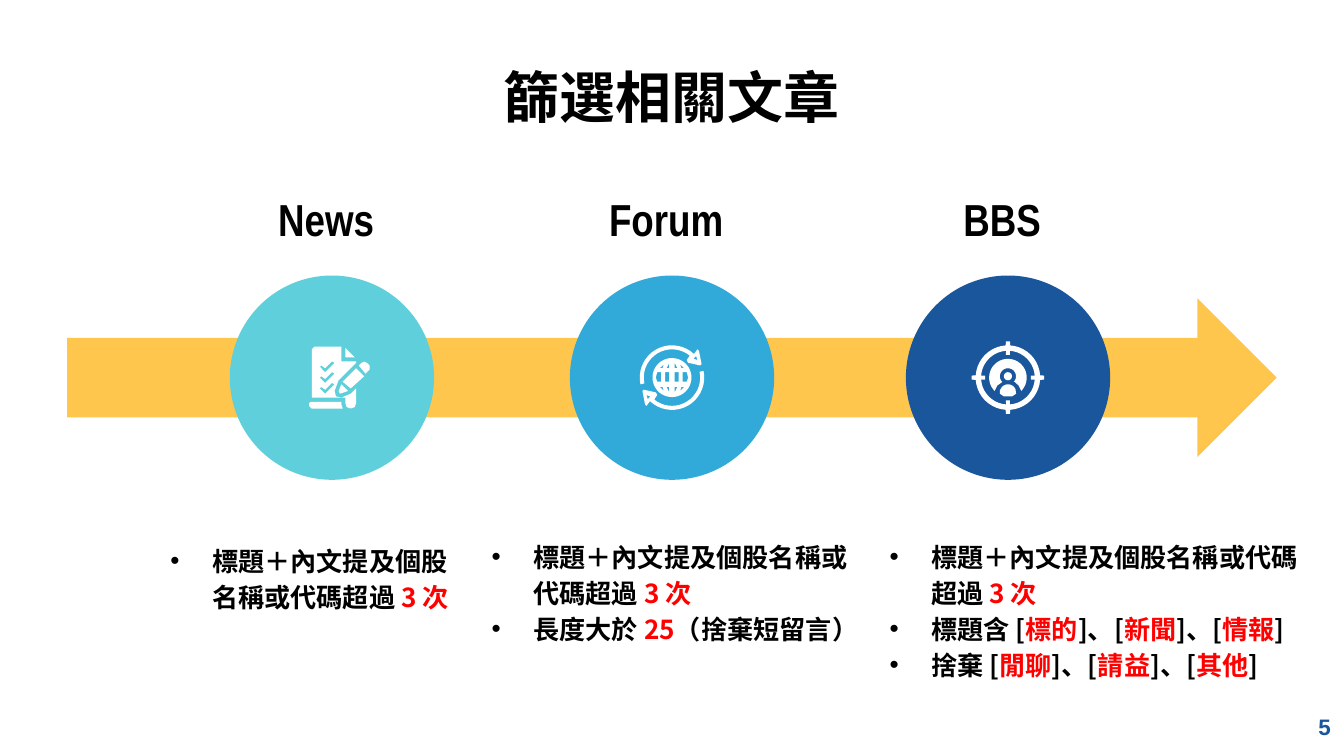
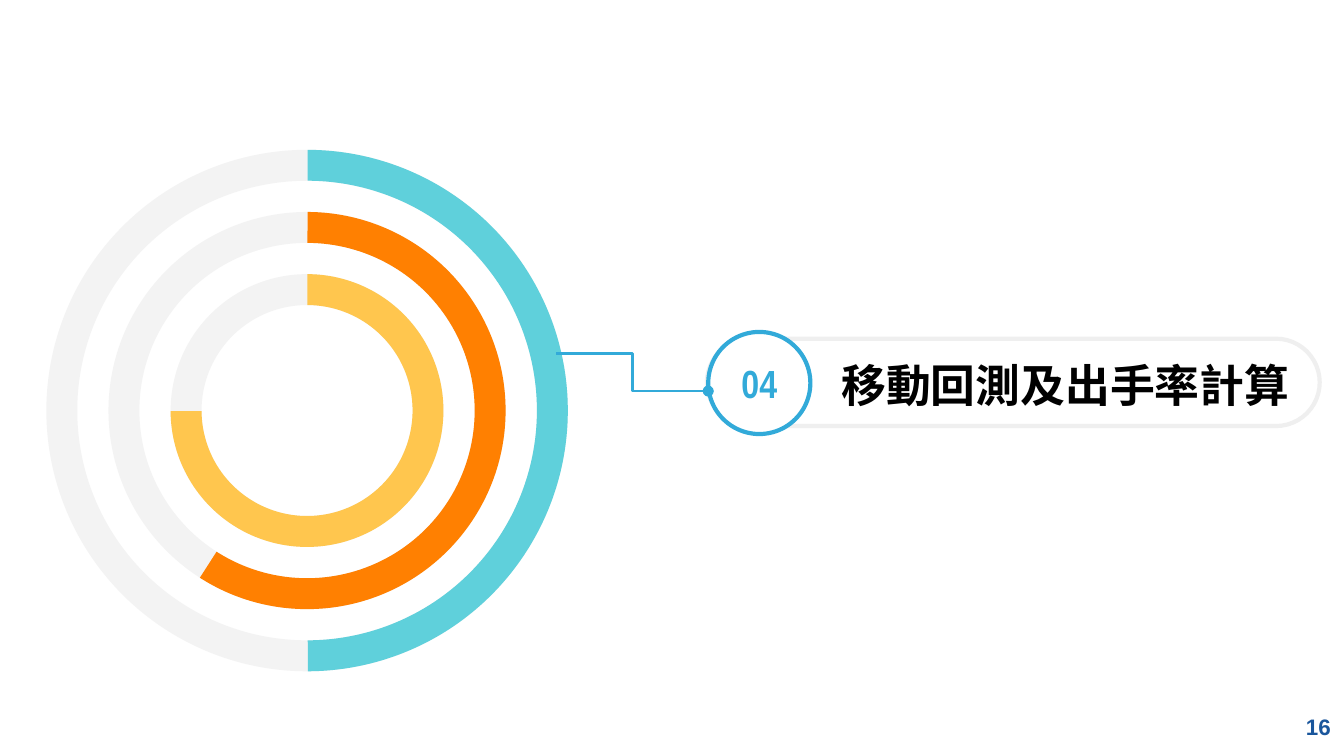
import math
from dataclasses import dataclass

import lxml.etree
import pptx
import pptx.dml.color
import pptx.enum.shapes
import pptx.enum.text
import pptx.oxml.ns
import pptx.util

PAGE_WIDTH = pptx.util.Inches(10)
PAGE_HEIGHT = pptx.util.Inches(5.625)
COLUMN = PAGE_WIDTH / 100
ICON_STEP = 0.1

BLACK, WHITE, RED = "000000", "FFFFFF", "FF0000"
TEAL, SKY, NAVY = "5FD0DB", "32AAD9", "1A569C"
AMBER, ORANGE = "FFC64E", "FF8001"
TRACK, PILL_EDGE = "F3F3F3", "EFEFEF"
NARROW, CJK, SANS = "Arial Narrow", "Noto Sans CJK TC", "Arial"

SHAPE = pptx.enum.shapes.MSO_SHAPE
ALIGN = pptx.enum.text.PP_ALIGN
ANCHOR = pptx.enum.text.MSO_ANCHOR

Point = tuple[float, float]
Contour = list[Point]
Piece = list[Contour]


@dataclass
class Box:
    left: float
    top: float
    width: float
    height: float

    def lengths(self) -> list[int]:
        return [size(v) for v in (self.left, self.top, self.width, self.height)]


@dataclass
class Stage:
    label: str
    center: float
    color: str
    rules_box: Box
    rules: list[str]
    icon: list[Piece]


@dataclass
class Ring:
    color: str
    end_degrees: float


def size(columns: float) -> int:
    return round(columns * COLUMN)


def paint(color: str) -> pptx.dml.color.RGBColor:
    return pptx.dml.color.RGBColor.from_string(color)


def child(parent, tag: str, **attributes: str):
    return lxml.etree.SubElement(parent, pptx.oxml.ns.qn(tag), attributes)


def add_bullet(para, indent: float) -> None:
    properties = para._p.get_or_add_pPr()
    properties.set("marL", str(size(indent)))
    properties.set("indent", str(-size(indent)))
    child(child(properties, "a:buClr"), "a:srgbClr", val=BLACK)
    child(properties, "a:buFont", typeface=SANS)
    child(properties, "a:buChar", char="•")


def write(shape, text: str, *, points: float, font: str = NARROW, color: str = BLACK,
          accent: str = RED, align=None, anchor=ANCHOR.MIDDLE,
          insets: tuple[float, ...] = (1, 1, 1, 1), bullets: bool = False) -> None:
    frame = shape.text_frame
    frame.word_wrap = True
    frame.vertical_anchor = anchor
    (frame.margin_left, frame.margin_top,
     frame.margin_right, frame.margin_bottom) = [size(inset) for inset in insets]
    for number, line in enumerate(text.split("\n")):
        para = frame.add_paragraph() if number else frame.paragraphs[0]
        para.alignment = align or ALIGN.LEFT
        if bullets:
            para.line_spacing = 1.15
            add_bullet(para, 3.1)
        for index, words in enumerate(line.split("|")):
            span = para.add_run()
            span.text = words
            span.font.size = pptx.util.Pt(points)
            span.font.bold = True
            span.font.name = font
            span.font.color.rgb = paint(accent if index % 2 else color)
            child(span._r.get_or_add_rPr(), "a:ea", typeface=CJK)


def add_text(page, box: Box, text: str, **style) -> None:
    write(page.shapes.add_textbox(*box.lengths()), text, **style)


def dress(shape, fill: str, edge: str | None = None):
    shape.shadow.inherit = False
    shape.fill.solid()
    shape.fill.fore_color.rgb = paint(fill)
    if edge:
        shape.line.color.rgb = paint(edge)
        shape.line.width = pptx.util.Pt(2.25)
    else:
        shape.line.fill.background()
    return shape


def add_preset(page, kind, box: Box, fill: str, edge: str | None = None,
               adjust: tuple[float, ...] = ()):
    shape = page.shapes.add_shape(kind, *box.lengths())
    for index, value in enumerate(adjust):
        shape.adjustments[index] = value
    return dress(shape, fill, edge)


def add_icon(page, pieces: list[Piece], center: Point) -> None:
    group = page.shapes.add_group_shape()
    for piece in pieces:
        contours = [[tuple(size(middle + value * ICON_STEP)
                           for middle, value in zip(center, point))
                     for point in contour] for contour in piece]
        builder = group.shapes.build_freeform(*contours[0][0])
        for index, contour in enumerate(contours):
            if index:
                builder.move_to(*contour[0])
            builder.add_line_segments(contour[1:], close=True)
        dress(builder.convert_to_shape(), WHITE)


def arc(radius: float, start: float, end: float, middle: Point = (0, 0)) -> Contour:
    count = max(2, round(abs(end - start) / 8))
    angles = [math.radians(start + (end - start) * i / count) for i in range(count + 1)]
    return [(middle[0] + radius * math.cos(a), middle[1] + radius * math.sin(a))
            for a in angles]


def flip(contour: Contour, across: int, down: int) -> Contour:
    return [(x * across, y * down) for x, y in contour]


def ticked_circle(radius: float, tip: float) -> Contour:
    contour = []
    for quarter in range(0, 360, 90):
        for side in (-1.5, 1.5):
            turn = math.radians(quarter)
            contour.append((tip * math.cos(turn) - side * math.sin(turn),
                            tip * math.sin(turn) + side * math.cos(turn)))
        contour += arc(radius, quarter + 4, quarter + 86)
    return contour


def document_icon() -> list[Piece]:
    sheet = [(-13, -23), (7, -23), (7, -12), (18, -12), (18, -11), (5, 2), (2, 10),
             (3, 14), (7, 15), (14, 12), (18, 8), (18, 19), (17, 22), (14, 23),
             (11, 22), (10, 19), (10, 15), (-15, 15), (-15, -21)]
    check = [(-9, -8), (-8, -9), (-5, -7), (0, -12), (2, -11), (-5, -4)]
    checks = [[(x, y + drop) for x, y in check] for drop in (0, 8, 16)]
    eraser = [(20, -9), (22, -11), (24, -12), (26, -11), (28, -9), (28, -6), (25, -3)]
    nib = [(7, 5), (5, 10), (6, 12), (12, 10)]
    barrel = [(18, -7), (8, 3), (14, 8), (24, -1)]
    fold = [(10, -22), (10, -15), (17, -15)]
    base = [(-16, 18), (7, 18), (7, 20), (8, 23), (-15, 23), (-17, 21), (-17, 19)]
    return [[sheet, *checks], [eraser], [nib], [barrel], [fold], [base]]


def globe_icon() -> list[Piece]:
    arrow = (arc(24, 168, 313) + [(19, -21), (20, -20), (22, -10), (21, -9),
             (12, -11), (11, -13)] + arc(21, 309, 168))
    head_hole = [(18, -16), (19, -13), (16, -14)]
    caps = [[(-6, -10), (-7, -7), (-9, -7)], [(-2, -11), (-2, -7), (-4, -7)]]
    bands = [[(-8, -4), (-11, -4), (-12, 0), (-11, 3), (-8, 3)],
             [(-2, -4), (-5, -4), (-5, 0), (-5, 3), (-2, 3)]]
    windows = [flip(cap, across, down)
               for cap in caps for across in (1, -1) for down in (1, -1)]
    windows += [flip(band, across, 1) for band in bands for across in (1, -1)]
    return [[arrow, head_hole], [flip(arrow, -1, -1), flip(head_hole, -1, -1)],
            [arc(14.5, 0, 360), *windows]]


def target_icon() -> list[Piece]:
    body = [(-6, 12), (-6, 9)] + arc(6, 200, 340, (0, 11)) + [(6, 12), (3, 14), (-3, 14)]
    badge = (arc(14, 135, 405) + [(8, 6), (5, 3)]
             + arc(6, 45, -225, (0, -1)) + [(-8, 6)])
    return [[ticked_circle(24, 27), ticked_circle(20, 17)],
            [body], [arc(3, 0, 360, (0, -1))], [badge]]


MENTION = "標題＋內文提及個股名稱或代碼超過 |3 次"
STAGES = [
    Stage("News ", 24.7, TEAL, Box(11.7, 39.2, 23.7, 10.7), [MENTION], document_icon()),
    Stage("Forum ", 50, SKY, Box(35.6, 38.9, 30.3, 10.7),
          [MENTION, "長度大於 |25|（捨棄短留言）"], globe_icon()),
    Stage("BBS ", 75, NAVY, Box(65.2, 38.9, 33.5, 10.7),
          [MENTION, "標題含 [|標的|]、[|新聞|]、[|情報|]",
           "捨棄 [|閒聊|]、[|請益|]、[|其他|]"], target_icon()),
]
RINGS = [Ring(TEAL, 89.83), Ring(ORANGE, 122.65), Ring(AMBER, 179.73)]


def add_page(deck, number: int):
    page = deck.slides.add_slide(deck.slide_layouts[6])
    add_text(page, Box(94, 51.9, 6, 4.3), str(number), points=12, font=SANS,
             color=NAVY, align=ALIGN.RIGHT)
    return page


def build_filter_page(deck) -> None:
    page = add_page(deck, 5)
    add_text(page, Box(5, 4.5, 90, 5.3), "篩選相關文章", points=30, align=ALIGN.CENTER)
    add_preset(page, SHAPE.RIGHT_ARROW, Box(5, 22.2, 90, 11.8), AMBER, adjust=(0.5, 0.5))
    for stage in STAGES:
        add_preset(page, SHAPE.OVAL, Box(stage.center - 7.6, 20.5, 15.2, 15.2), stage.color)
        add_text(page, Box(stage.center - 11.2, 12.4, 22.3, 7.7), stage.label, points=24,
                 align=ALIGN.CENTER, insets=(2.5, 2.5, 2.5, 2.5))
        add_text(page, stage.rules_box, "\n".join(stage.rules), points=14, font=CJK,
                 anchor=ANCHOR.TOP, bullets=True)
        add_icon(page, stage.icon, (stage.center, 28.1))


def add_rings(page) -> None:
    for index, ring in enumerate(RINGS):
        diameter = 38.8 - 9.25 * index
        box = Box(22.85 - diameter / 2, 30.55 - diameter / 2, diameter, diameter)
        band = 2.3 / diameter
        add_preset(page, SHAPE.DONUT, box, TRACK, adjust=(band,))
        add_preset(page, SHAPE.BLOCK_ARC, box, ring.color,
                   adjust=(270.15 * 0.6, ring.end_degrees * 0.6, band))


def add_elbow(page, start: Point, end: Point, color: str) -> None:
    elbow = page.shapes.add_connector(pptx.enum.shapes.MSO_CONNECTOR.ELBOW,
                                      *[size(value) for value in start + end])
    elbow.line.color.rgb = paint(color)
    elbow.line.width = pptx.util.Pt(1.5)
    child(elbow.line._get_or_add_ln(), "a:tailEnd", type="oval")
    child(elbow._element.spPr, "a:effectLst")


def build_section_page(deck) -> None:
    page = add_page(deck, 16)
    add_rings(page)
    add_preset(page, SHAPE.ROUNDED_RECTANGLE, Box(52.6, 25.2, 45.6, 6.5), WHITE,
               PILL_EDGE, (0.5,))
    badge = add_preset(page, SHAPE.OVAL, Box(52.7, 24.7, 7.6, 7.6), WHITE, SKY)
    write(badge, "04", points=21, color=SKY, align=ALIGN.CENTER, insets=(0, 1, 0, 1))
    add_elbow(page, (41.4, 26.3), (52.7, 29.1), SKY)
    add_text(page, Box(56.6, 25.5, 53.2, 8.3), "移動回測及出手率計算", points=24,
             font=CJK, insets=(6, 1, 2, 3))


def main() -> None:
    deck = pptx.Presentation()
    deck.slide_width, deck.slide_height = PAGE_WIDTH, PAGE_HEIGHT
    build_filter_page(deck)
    build_section_page(deck)
    deck.save("out.pptx")


if __name__ == "__main__":
    main()
